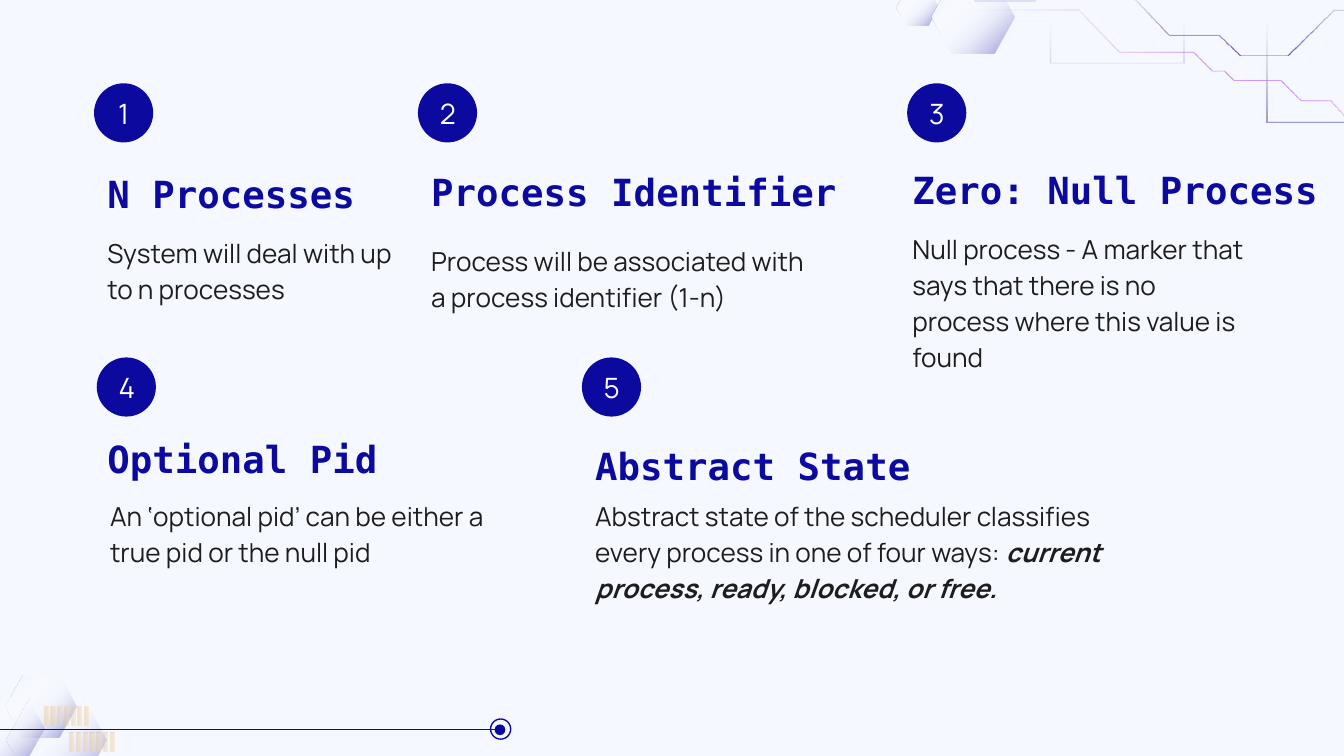
import math

import lxml.etree
import pptx
import pptx.dml.color
import pptx.enum.shapes
import pptx.enum.text
import pptx.oxml.ns
import pptx.util

Inches = pptx.util.Inches
RGBColor = pptx.dml.color.RGBColor
Anchor = pptx.enum.text.MSO_ANCHOR
OVAL = pptx.enum.shapes.MSO_SHAPE.OVAL
qn = pptx.oxml.ns.qn

NAVY = RGBColor(0x0C, 0x0A, 0x9E)
INK = RGBColor(0x1D, 0x1D, 0x1D)
WHITE = RGBColor(0xFF, 0xFF, 0xFF)
PALE = RGBColor(0xF5, 0xF8, 0xFF)
VIOLET = RGBColor(0x99, 0x00, 0xFF)
ORANGE = RGBColor(0xEB, 0x91, 0x09)

# Gradient stops: position, colour and opacity, all in percent
VIOLET_FADE = [(0, VIOLET, 47), (100, WHITE, 0)]
NAVY_FADE = [(0, NAVY, 100), (100, WHITE, 0)]
HEXAGON_FADE = [(0, PALE, 100), (22, PALE, 100), (45, WHITE, 0), (100, NAVY, 50)]
BAR_FADE = [(0, ORANGE, 47), (78, PALE, 47), (100, PALE, 47)]

# Circuit traces: stops, gradient angle (None is radial), edge line
TRACES = [
    (VIOLET_FADE, None,
     [(7.2, 0.07), (8.03, 0.07), (8.33, 0.38), (8.88, 0.38), (9.02, 0.52),
      (9.11, 0.52), (9.18, 0.59), (9.53, 0.59), (9.68, 0.74), (9.9, 0.74),
      (10.01, 0.86), (10.57, 0.86), (10.99, 0.44), (11.48, 0.44)]),
    (NAVY_FADE, 315,
     [(7.25, 0), (7.7, 0), (7.8, -0.1), (8.36, -0.1), (8.7, 0.25),
      (9.07, 0.25), (9.23, 0.4), (9.58, 0.4), (9.92, 0.07), (10.17, 0.07)]),
    (NAVY_FADE, 315,
     [(7.25, 0.15), (7.82, 0.15), (7.82, 0.46), (8.8, 0.46), (8.8, 0.15),
      (9.43, 0.15), (9.43, 0.9), (10.01, 0.9), (10.2, 1.09), (10.76, 1.09),
      (10.76, 0.86), (11.05, 0.86), (11.05, 1.09), (11.17, 1.09), (11.17, 1.21),
      (11.21, 1.21)]),
]

# Left, top, width, height
HEXAGONS = [(6.67, -0.08, 0.31, 0.27), (6.93, -0.14, 0.62, 0.54),
            (0.05, 5.19, 0.74, 0.63), (0.04, 5.03, 0.53, 0.46),
            (-0.2, 5.19, 0.53, 0.46)]
BAR_ROWS = [(0.52, 5.45), (0.33, 5.26)]

# Badge position, heading, heading box, heading anchor, body box,
# body paragraphs as runs of text and emphasis
TOPICS = [
    ((0.7, 0.62), "N Processes", (0.7, 1.27, 2.41, 0.44), Anchor.BOTTOM,
     (0.7, 1.63, 2.41, 0.63),
     [[("System will deal with up to n processes", False)]]),
    ((3.11, 0.62), "Process Identifier", (3.11, 1.06, 3.26, 0.63), Anchor.BOTTOM,
     (3.11, 1.69, 3.05, 0.97),
     [[("Process will be associated with a process identifier (1-n)", False)]]),
    ((6.75, 0.62), "Zero: Null Process", (6.69, 1.24, 3.39, 0.44), Anchor.BOTTOM,
     (6.69, 1.6, 2.89, 1.52),
     [[("Null process - A marker that says that there is no", False)],
      [("process where this value is found", False)]]),
    ((0.72, 2.66), "Optional Pid", (0.7, 3.24, 2.41, 0.44), Anchor.BOTTOM,
     (0.72, 3.59, 3.05, 1.19),
     [[("An ‘optional pid’ can be either a true pid or the null pid", False)]]),
    ((4.33, 2.66), "Abstract State", (4.33, 3.24, 3.4, 0.4), Anchor.MIDDLE,
     (4.33, 3.59, 4.41, 1.55),
     [[("Abstract state of the scheduler classifies every process in one of four ways: ",
        False),
       ("current process, ready, blocked, or free.", True)]]),
]


def thicken(line, width=0.01):
    """Return the closed outline of a band lying to one side of a line."""
    normals = []
    for (x1, y1), (x2, y2) in zip(line, line[1:]):
        length = math.hypot(x2 - x1, y2 - y1)
        normals.append(((y1 - y2) / length, (x2 - x1) / length))
    far_side = []
    for (x, y), before, after in zip(line, normals[:1] + normals, normals + normals[-1:]):
        factor = width / (1 + before[0] * after[0] + before[1] * after[1])
        far_side.append((x + (before[0] + after[0]) * factor,
                         y + (before[1] + after[1]) * factor))
    return line + far_side[::-1]


def turn(points, degrees, pivot=(0, 0)):
    cosine, sine = math.cos(math.radians(degrees)), math.sin(math.radians(degrees))
    px, py = pivot
    return [(px + (x - px) * cosine - (y - py) * sine,
             py + (x - px) * sine + (y - py) * cosine) for x, y in points]


def tilted_center(points):
    """Return the centre of the frame that is tilted by 45 degrees."""
    xs, ys = zip(*turn(points, 45))
    return turn([((min(xs) + max(xs)) / 2, (min(ys) + max(ys)) / 2)], -45)[0]


class SlideWriter:
    heading_font = "DejaVu Sans Mono"
    body_font = "Manrope"

    def __init__(self, slide):
        self.slide = slide
        slide.background.fill.solid()
        slide.background.fill.fore_color.rgb = PALE

    def gradient(self, shape, stops, angle):
        shape.fill.background()
        properties = shape._element.spPr
        gradient = lxml.etree.Element(qn("a:gradFill"), rotWithShape="1")
        stop_list = lxml.etree.SubElement(gradient, qn("a:gsLst"))
        for position, color, opacity in stops:
            stop = lxml.etree.SubElement(stop_list, qn("a:gs"), pos=str(position * 1000))
            value = lxml.etree.SubElement(stop, qn("a:srgbClr"), val=str(color))
            lxml.etree.SubElement(value, qn("a:alpha"), val=str(opacity * 1000))
        if angle is None:
            center = lxml.etree.SubElement(gradient, qn("a:path"), path="circle")
            lxml.etree.SubElement(center, qn("a:fillToRect"),
                                  dict.fromkeys("ltrb", "50000"))
        else:
            lxml.etree.SubElement(gradient, qn("a:lin"), ang=str(angle * 60000), scaled="0")
        properties.replace(properties.find(qn("a:noFill")), gradient)

    def outline(self, points, stops, angle, tilted=True):
        if tilted:
            points = turn(points, 45, tilted_center(points))
        corners = [(Inches(x), Inches(y)) for x, y in points]
        builder = self.slide.shapes.build_freeform(*corners[0], scale=1.0)
        builder.add_line_segments(corners[1:], close=True)
        shape = builder.convert_to_shape()
        shape.shadow.inherit = False
        shape.line.fill.background()
        self.gradient(shape, stops, angle)
        if tilted:
            shape.rotation = 315

    def hexagon(self, left, top, width, height):
        inset, right, middle, bottom = 0.28 * height, left + width, top + height / 2, top + height
        self.outline([(left + inset, top), (left, middle), (left + inset, bottom),
                      (right - inset, bottom), (right, middle), (right - inset, top)],
                     HEXAGON_FADE, 45, tilted=False)

    def bar(self, left, top, width=0.03, height=0.14):
        right, bottom = left + width, top + height
        self.outline([(left, top), (left, bottom), (right, bottom), (right, top)],
                     BAR_FADE, 45)

    def circle(self, left, top, size, filled=True):
        shape = self.slide.shapes.add_shape(OVAL, *map(Inches, (left, top, size, size)))
        shape.shadow.inherit = False
        if filled:
            shape.fill.solid()
            shape.fill.fore_color.rgb = NAVY
            shape.line.fill.background()
        else:
            shape.fill.background()
            shape.line.color.rgb = NAVY
            shape.line.width = pptx.util.Pt(0.75)
        return shape

    def line(self, start, end):
        connector = self.slide.shapes.add_connector(
            pptx.enum.shapes.MSO_CONNECTOR.STRAIGHT, *map(Inches, start + end))
        connector.line.color.rgb = NAVY
        connector.line.width = pptx.util.Pt(0.75)
        lxml.etree.SubElement(connector._element.spPr, qn("a:effectLst"))

    def run(self, paragraph, text, font, size, color, bold=False, italic=False):
        run = paragraph.add_run()
        run.text = text
        run.font.name = font
        run.font.size = pptx.util.Pt(size)
        run.font.color.rgb = color
        run.font.bold = bold
        run.font.italic = italic

    def frame(self, shape, anchor):
        frame = shape.text_frame
        frame.word_wrap = True
        frame.vertical_anchor = anchor
        frame.margin_left = frame.margin_right = Inches(0.1)
        frame.margin_top = frame.margin_bottom = Inches(0.1)
        return frame

    def badge(self, left, top, number):
        frame = self.frame(self.circle(left, top, 0.44), Anchor.MIDDLE)
        paragraph = frame.paragraphs[0]
        paragraph.alignment = pptx.enum.text.PP_ALIGN.CENTER
        self.run(paragraph, str(number), self.body_font, 15, WHITE)

    def heading(self, box, text, anchor):
        self.body(box, [[(text, True)]], anchor, self.heading_font, 20, NAVY, False)

    def body(self, box, paragraphs, anchor=Anchor.TOP, font=body_font, size=14,
             color=INK, slanted=True):
        frame = self.frame(self.slide.shapes.add_textbox(*map(Inches, box)), anchor)
        for index, runs in enumerate(paragraphs):
            paragraph = frame.add_paragraph() if index else frame.paragraphs[0]
            paragraph.line_spacing = 1.15
            for text, strong in runs:
                self.run(paragraph, text, font, size, color, strong, strong and slanted)


def main():
    presentation = pptx.Presentation()
    presentation.slide_width = Inches(10)
    presentation.slide_height = presentation.slide_width * 9 // 16
    writer = SlideWriter(presentation.slides.add_slide(presentation.slide_layouts[6]))

    for stops, angle, edge in TRACES:
        writer.outline(thicken(edge), stops, angle)
    for box in HEXAGONS:
        writer.hexagon(*box)
    for left, top in BAR_ROWS:
        for index in range(7):
            writer.bar(left + 0.05 * index, top)
    writer.circle(3.65, 5.35, 0.15, filled=False)
    writer.line((-1.19, 5.43), (3.69, 5.43))
    writer.circle(3.68, 5.39, 0.08)

    for number, topic in enumerate(TOPICS, start=1):
        badge, heading, heading_box, anchor, body_box, paragraphs = topic
        writer.body(body_box, paragraphs)
        writer.heading(heading_box, heading, anchor)
        writer.badge(*badge, number)
    presentation.save("out.pptx")


if __name__ == "__main__":
    main()
